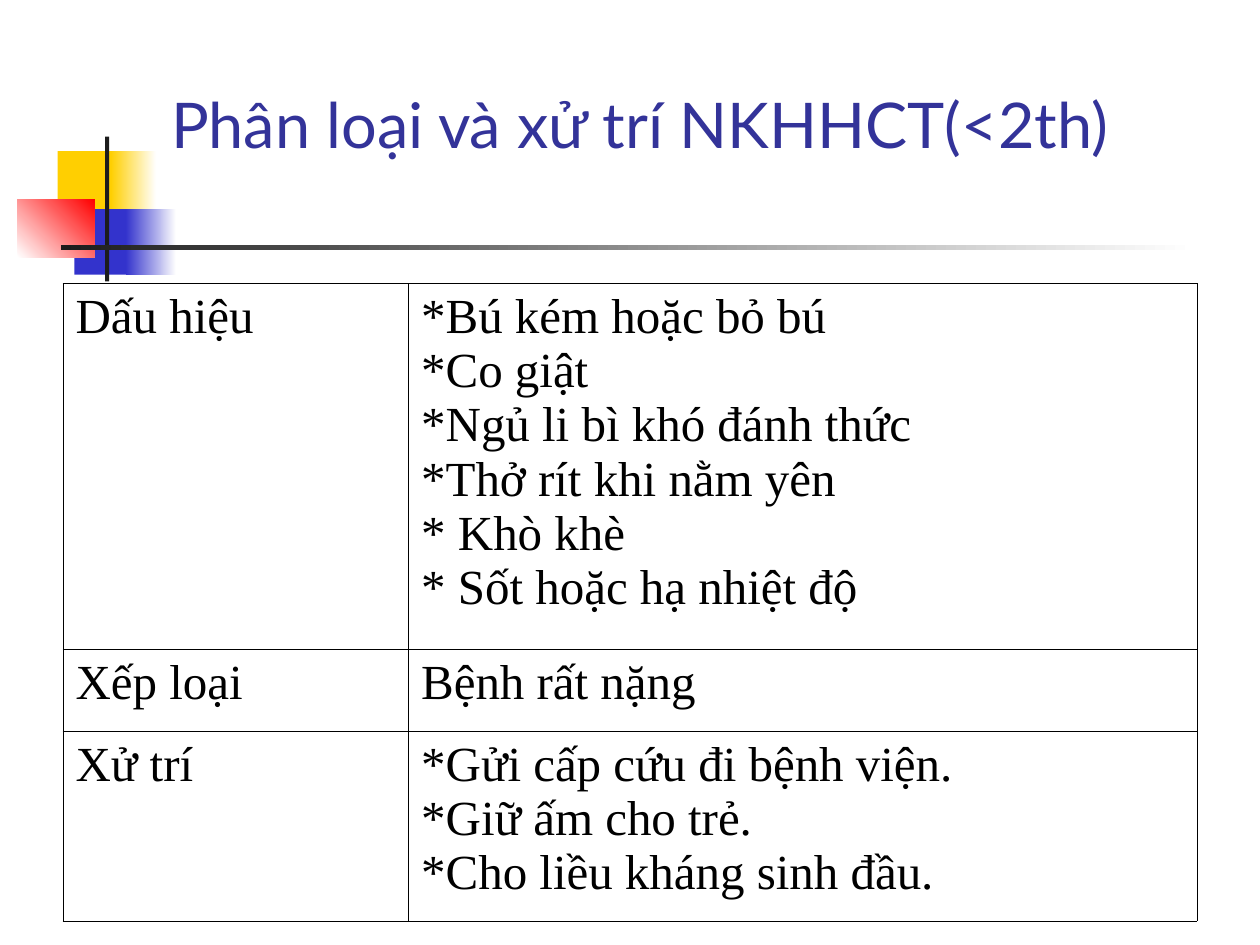
from lxml.etree import SubElement
from pptx import Presentation
from pptx.dml.color import RGBColor
from pptx.enum.shapes import MSO_SHAPE as Shape
from pptx.enum.text import MSO_ANCHOR as Anchor
from pptx.oxml.ns import qn
from pptx.util import Pt

BLACK, WHITE = "000000", "FFFFFF"
YELLOW, BLUE, RED, CHARCOAL = "FFCF01", "3333CC", "FF0000", "1C1C1C"
TITLE_BLUE = "333399"

ORNAMENT = [
    ((33, 86.4, 34.6, 37.4), [YELLOW], 0),
    ((63.4, 86.4, 25.9, 37.4), [YELLOW, WHITE], 0),
    ((42.5, 119.5, 33.1, 37.4), [BLUE], 0),
    ((72, 119.5, 28.8, 37.4), [BLUE, WHITE], 0),
    ((10.1, 113.8, 43.9, 33.1), [WHITE, RED], 45),
    ((60, 78, 2.4, 82.8), [CHARCOAL], 0),
    ((34.8, 140.2, 648, 2.4), [CHARCOAL, WHITE], 0),
]

COLUMN_WIDTHS = [197.5, 450.5]
ROW_HEIGHTS = [208.8, 46.8, 108.6]
CARE_ROWS = [
    (["Dấu hiệu"],
     ["*Bú kém hoặc bỏ bú", "*Co giật", "*Ngủ li bì khó đánh thức",
      "*Thở rít khi nằm yên", "* Khò khè", "* Sốt hoặc hạ nhiệt độ"]),
    (["Xếp loại"], ["Bệnh rất nặng"]),
    (["Xử trí"],
     ["*Gửi cấp cứu đi bệnh viện.", "*Giữ ấm cho trẻ.",
      "*Cho liều kháng sinh đầu."]),
]


def rgb(code):
    return RGBColor.from_string(code)


def write_lines(frame, lines, font_name, size, color):
    for index, line in enumerate(lines):
        paragraph = frame.add_paragraph() if index else frame.paragraphs[0]
        run = paragraph.add_run()
        run.text = line
        run.font.name = font_name
        run.font.size = Pt(size)
        run.font.color.rgb = rgb(color)


def add_block(slide, box, colors, angle):
    block = slide.shapes.add_shape(Shape.RECTANGLE, *map(Pt, box))
    block.shadow.inherit = False
    block.line.fill.background()
    if len(colors) == 1:
        block.fill.solid()
        block.fill.fore_color.rgb = rgb(colors[0])
        return
    block.fill.gradient()
    block.fill.gradient_angle = angle
    for stop, color in zip(block.fill.gradient_stops, colors):
        stop.color.rgb = rgb(color)


def add_title(slide, text):
    title = slide.shapes.add_textbox(Pt(90.7), Pt(16.6), Pt(613.4), Pt(79.2))
    title.text_frame.word_wrap = True
    title.text_frame.vertical_anchor = Anchor.BOTTOM
    write_lines(title.text_frame, [text], "Lato", 36, TITLE_BLUE)


def set_borders(cell, color, width):
    properties = cell._tc.get_or_add_tcPr()
    for side in ("a:lnL", "a:lnR", "a:lnT", "a:lnB"):
        border = SubElement(properties, qn(side), w=str(Pt(width)))
        fill = SubElement(border, qn("a:solidFill"))
        SubElement(fill, qn("a:srgbClr"), val=color)


def add_care_table(slide):
    table = slide.shapes.add_table(
        len(ROW_HEIGHTS), len(COLUMN_WIDTHS), Pt(36), Pt(162),
        Pt(sum(COLUMN_WIDTHS)), Pt(sum(ROW_HEIGHTS))).table
    table.first_row = False
    table.horz_banding = False
    for column, width in zip(table.columns, COLUMN_WIDTHS):
        column.width = Pt(width)
    for row, height, contents in zip(table.rows, ROW_HEIGHTS, CARE_ROWS):
        row.height = Pt(height)
        for cell, lines in zip(row.cells, contents):
            set_borders(cell, BLACK, 0.45)
            cell.fill.background()
            write_lines(cell.text_frame, lines, "Times New Roman", 28, BLACK)


def main():
    deck = Presentation()
    deck.slide_width, deck.slide_height = Pt(720), Pt(540)
    slide = deck.slides.add_slide(deck.slide_layouts[6])
    for box, colors, angle in ORNAMENT:
        add_block(slide, box, colors, angle)
    add_title(slide, "Phân loại và xử trí NKHHCT(<2th)")
    add_care_table(slide)
    deck.save("out.pptx")


if __name__ == "__main__":
    main()
